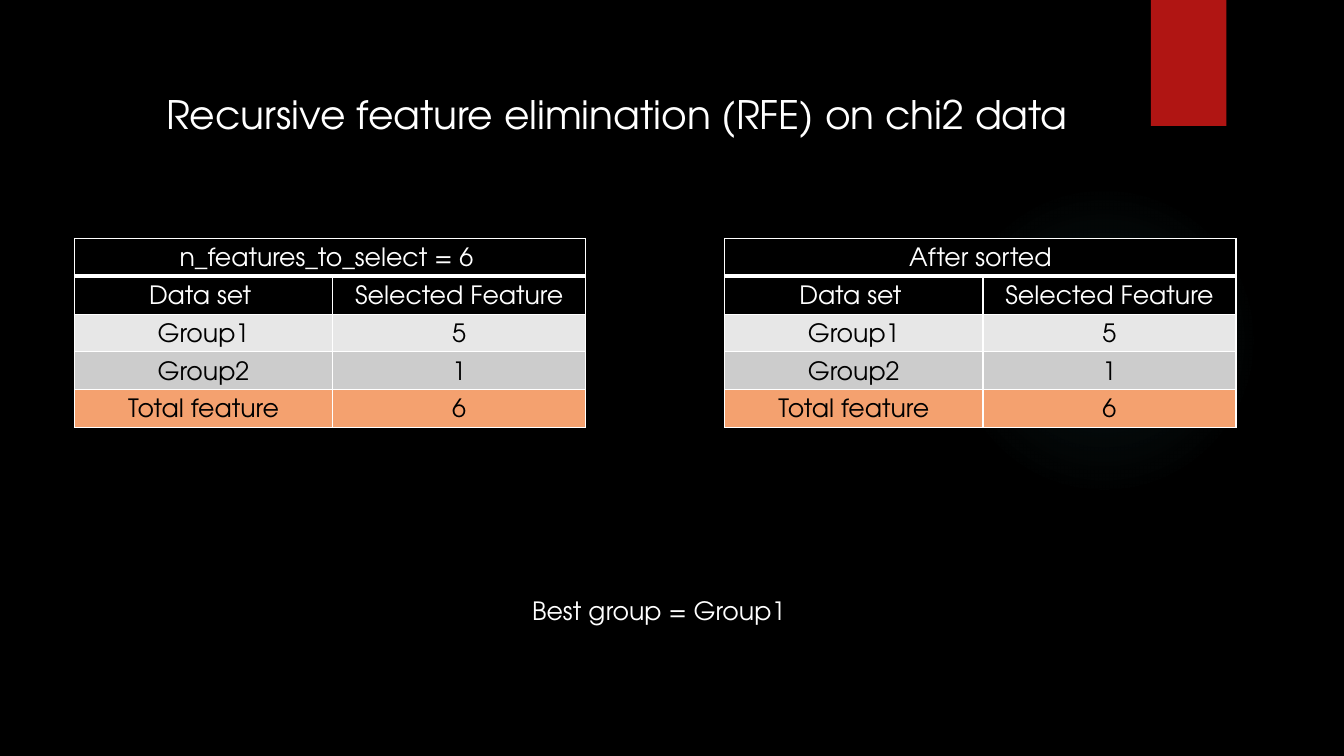
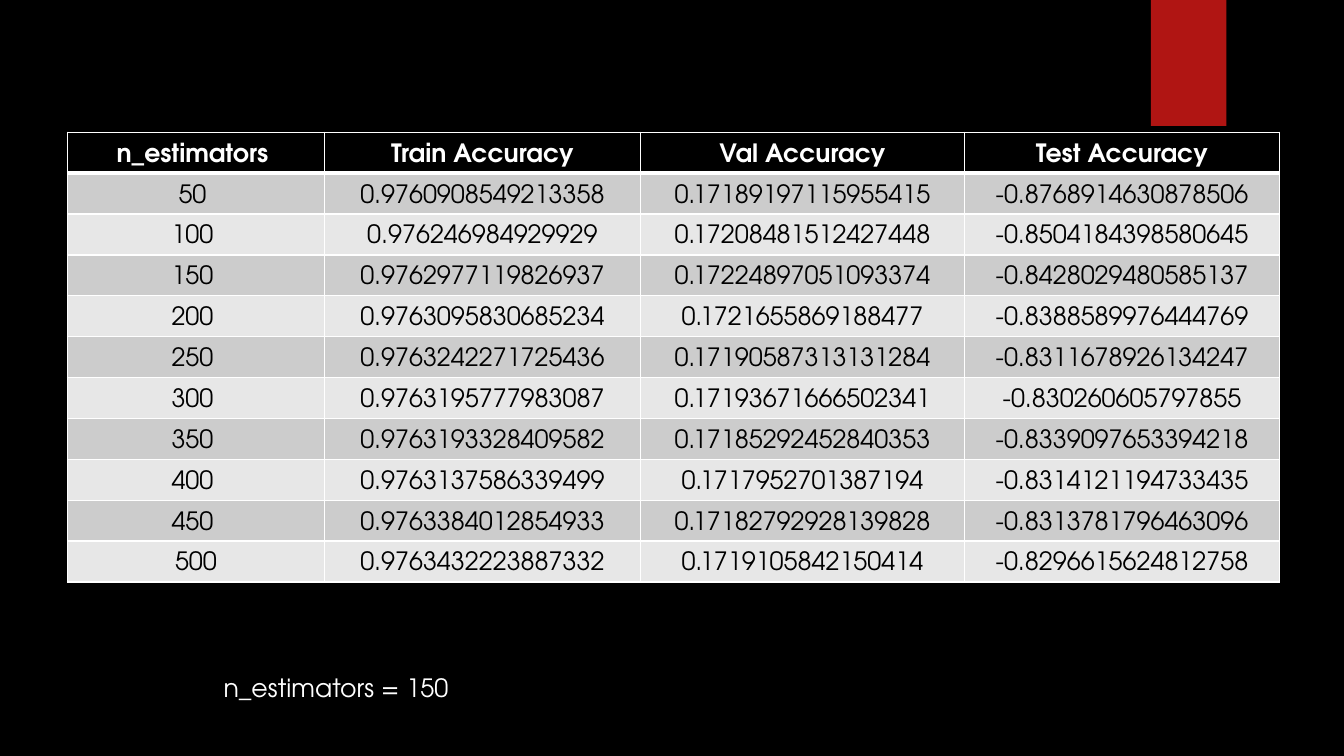
from dataclasses import dataclass

import lxml.etree
import pptx
import pptx.dml.color
import pptx.enum.shapes
import pptx.enum.text
import pptx.oxml
import pptx.oxml.ns
import pptx.slide
import pptx.table
import pptx.text.text
import pptx.util

Pt = pptx.util.Pt
qn = pptx.oxml.ns.qn

# Shared look
COLORS = {
    "background": "000000",
    "light": "FFFFFF",
    "dark": "000000",
    "ribbon": "B01513",
    "glow": "50B9C1",
    "pale": "E7E7E7",
    "grey": "CCCCCC",
    "total": "F4A16F",
}
FONT = "TeX Gyre Adventor"
BODY_SIZE = 18
TITLE_SIZE = 28
GLOW_STOPS = ((0, 7), (36, 6), (69, 0))  # position and opacity in percent


@dataclass(frozen=True)
class Caption:
    text: str
    left: float
    top: float
    width: float
    height: float
    size: float = BODY_SIZE


@dataclass(frozen=True)
class Grid:
    left: float
    top: float
    widths: tuple[float, ...]
    row_height: float
    rows: tuple[tuple[str, ...], ...]
    fills: tuple[str, ...]
    bold_header: bool = False


def rgb(name: str) -> pptx.dml.color.RGBColor:
    return pptx.dml.color.RGBColor.from_string(COLORS[name])


def style_text(paragraph: pptx.text.text._Paragraph, color: str,
               size: float = BODY_SIZE, bold: bool = False) -> None:
    for run in paragraph.runs:
        run.font.name = FONT
        run.font.size = Pt(size)
        run.font.bold = bold
        run.font.color.rgb = rgb(color)


# Background, glow and ribbon
def add_backdrop(slide: pptx.slide.Slide) -> None:
    slide.background.fill.solid()
    slide.background.fill.fore_color.rgb = rgb("background")
    kinds = pptx.enum.shapes.MSO_SHAPE

    glow = slide.shapes.add_shape(kinds.OVAL, Pt(677.5), Pt(131.8), Pt(221.8), Pt(221.8))
    glow.shadow.inherit = False
    glow.line.fill.background()
    stops = "".join(
        f'<a:gs pos="{position * 1000}"><a:srgbClr val="{COLORS["glow"]}">'
        f'<a:alpha val="{opacity * 1000}"/></a:srgbClr></a:gs>'
        for position, opacity in GLOW_STOPS
    )
    gradient = pptx.oxml.parse_xml(
        f'<a:gradFill {pptx.oxml.ns.nsdecls("a")}><a:gsLst>{stops}</a:gsLst>'
        '<a:path path="circle"><a:fillToRect l="50000" t="50000" r="50000" b="50000"/>'
        '</a:path></a:gradFill>'
    )
    glow._element.spPr.find(qn("a:prstGeom")).addnext(gradient)

    ribbon = slide.shapes.add_shape(kinds.RECTANGLE, Pt(822), Pt(0), Pt(54), Pt(90))
    ribbon.shadow.inherit = False
    ribbon.fill.solid()
    ribbon.fill.fore_color.rgb = rgb("ribbon")
    ribbon.line.fill.background()


def add_caption(slide: pptx.slide.Slide, caption: Caption) -> None:
    box = slide.shapes.add_textbox(
        Pt(caption.left), Pt(caption.top), Pt(caption.width), Pt(caption.height))
    box.text_frame.word_wrap = True
    box.text_frame.text = caption.text
    style_text(box.text_frame.paragraphs[0], "light", caption.size)


# Tables
def set_borders(cell: pptx.table._Cell, top: float, bottom: float) -> None:
    properties = cell._tc.get_or_add_tcPr()
    for side, width in (("L", 1), ("R", 1), ("T", top), ("B", bottom)):
        line = lxml.etree.SubElement(properties, qn(f"a:ln{side}"), w=str(Pt(width)))
        fill = lxml.etree.SubElement(line, qn("a:solidFill"))
        lxml.etree.SubElement(fill, qn("a:srgbClr"), val=COLORS["light"])


def add_grid(slide: pptx.slide.Slide, grid: Grid) -> None:
    table = slide.shapes.add_table(
        len(grid.rows), len(grid.widths), Pt(grid.left), Pt(grid.top),
        Pt(sum(grid.widths)), Pt(grid.row_height * len(grid.rows))).table
    table.first_row = False
    table.horz_banding = False
    for column, width in zip(table.columns, grid.widths):
        column.width = Pt(width)

    for r, (texts, fill) in enumerate(zip(grid.rows, grid.fills)):
        table.rows[r].height = Pt(grid.row_height)
        if len(texts) == 1:
            table.cell(r, 0).merge(table.cell(r, len(grid.widths) - 1))
        for c in range(len(grid.widths)):
            cell = table.cell(r, c)
            set_borders(cell, top=3 if r == 1 else 1, bottom=3 if r == 0 else 1)
            cell.fill.solid()
            cell.fill.fore_color.rgb = rgb(fill)
            # The font sits high in its line, so only the top has a margin
            cell.margin_top, cell.margin_bottom = Pt(3.6), Pt(0)
            cell.vertical_anchor = pptx.enum.text.MSO_ANCHOR.MIDDLE
            if c < len(texts):
                cell.text_frame.text = texts[c]
                paragraph = cell.text_frame.paragraphs[0]
                paragraph.alignment = pptx.enum.text.PP_ALIGN.CENTER
                style_text(paragraph, "light" if fill == "dark" else "dark",
                           bold=grid.bold_header and r == 0)


# Content
GROUP_ROWS = (
    ("Data set ", "Selected Feature"),
    ("Group1", "5"),
    ("Group2", "1"),
    ("Total feature", "6"),
)
GROUP_FILLS = ("dark", "dark", "pale", "grey", "total")
GROUP_TABLES = tuple(
    Grid(left, 170.4, (184.4, 180.8), 27, ((heading,), *GROUP_ROWS), GROUP_FILLS)
    for heading, left in (("n_features_to_select = 6 ", 53.2), ("After sorted", 517.7))
)

ACCURACY_ROWS = (
    ("n_estimators ", "Train Accuracy", "Val Accuracy", "Test Accuracy"),
    ("50 ", "0.9760908549213358", "0.17189197115955415", "-0.8768914630878506"),
    ("100 ", "0.976246984929929", "0.17208481512427448", "-0.8504184398580645"),
    ("150 ", "0.9762977119826937", "0.17224897051093374", "-0.8428029480585137"),
    ("200 ", "0.9763095830685234", "0.1721655869188477", "-0.8388589976444769"),
    ("250 ", "0.9763242271725436", "0.17190587313131284", "-0.8311678926134247"),
    ("300 ", "0.9763195777983087", "0.17193671666502341", "-0.830260605797855"),
    ("350 ", "0.9763193328409582", "0.17185292452840353", "-0.8339097653394218"),
    ("400 ", "0.9763137586339499", "0.1717952701387194", "-0.8314121194733435"),
    ("450 ", "0.9763384012854933", "0.17182792928139828", "-0.8313781796463096"),
    ("500", "0.9763432223887332", "0.1719105842150414", "-0.8296615624812758"),
)
ACCURACY_TABLE = Grid(
    48.2, 94.5, (183.6, 225.6, 231.6, 225), 29.2, ACCURACY_ROWS,
    ("dark", *("grey", "pale") * 5), bold_header=True)

SLIDES = (
    (GROUP_TABLES, (
        Caption("Best group = Group1", 373, 421.9, 406, 29),
        Caption("Recursive feature elimination (RFE) on chi2 data",
                111.6, 61, 700, 41, TITLE_SIZE),
    )),
    ((ACCURACY_TABLE,), (Caption("n_estimators = 150", 152.6, 476.6, 332.6, 29),)),
)


def main() -> None:
    deck = pptx.Presentation()
    deck.slide_width, deck.slide_height = Pt(960), Pt(540)
    for grids, captions in SLIDES:
        slide = deck.slides.add_slide(deck.slide_layouts[6])
        add_backdrop(slide)
        for grid in grids:
            add_grid(slide, grid)
        for caption in captions:
            add_caption(slide, caption)
    deck.save("out.pptx")


if __name__ == "__main__":
    main()
